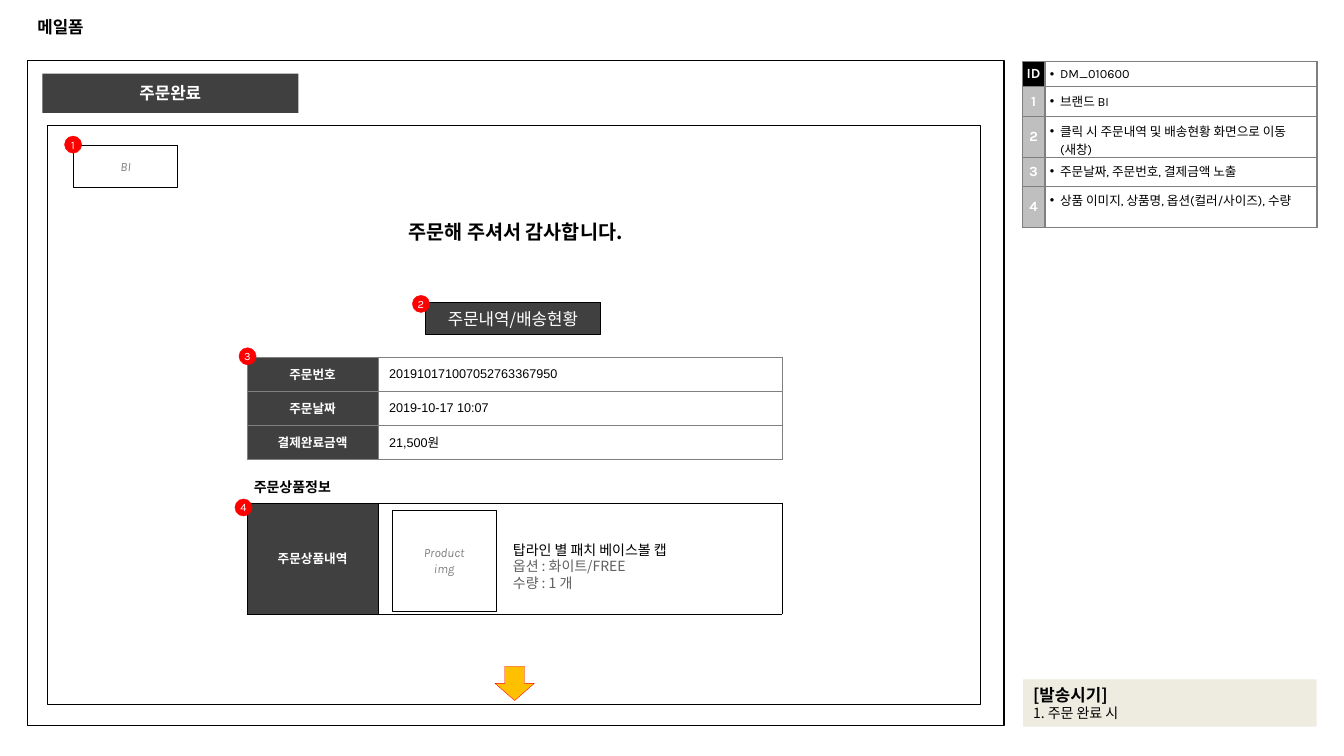
"""Build the order-complete mail form wireframe slide."""
from dataclasses import dataclass, replace

from lxml import etree
from pptx import Presentation
from pptx.dml.color import RGBColor
from pptx.enum.shapes import MSO_SHAPE
from pptx.enum.text import MSO_ANCHOR, PP_ALIGN
from pptx.oxml.ns import qn
from pptx.util import Inches, Pt

RECT, OVAL, DOWN = MSO_SHAPE.RECTANGLE, MSO_SHAPE.OVAL, MSO_SHAPE.DOWN_ARROW
LEFT, CENTER = PP_ALIGN.LEFT, PP_ALIGN.CENTER
TOP, MIDDLE = MSO_ANCHOR.TOP, MSO_ANCHOR.MIDDLE
NOTO = "Noto Sans CJK KR"
COLORS = {
    "black": "000000", "white": "FFFFFF", "dark": "404040", "gray": "808080",
    "text": "606060", "silver": "BFBFBF", "rule": "7F7F7F", "red": "FF0000",
    "amber": "FFC000", "beige": "EEECE1",
}
WIDTH, HEIGHT = Inches(13.33), Inches(7.5)


@dataclass(frozen=True)
class Style:
    size: float
    font: str
    color: str = "black"
    bold: bool = False
    italic: bool = False


@dataclass(frozen=True)
class Line:
    text: str
    style: Style


@dataclass(frozen=True)
class Box:
    """Hold a frame in percent of the slide."""
    x: float
    y: float
    w: float
    h: float

    def emu(self) -> tuple[int, int, int, int]:
        return across(self.x), down(self.y), across(self.w), down(self.h)


@dataclass(frozen=True)
class Item:
    box: Box
    lines: tuple[Line, ...] = ()
    kind: MSO_SHAPE = RECT
    fill: str = ""
    line: str = ""
    width: float = 0.25
    align: PP_ALIGN = CENTER
    anchor: MSO_ANCHOR = MIDDLE
    margin: float = -1


@dataclass(frozen=True)
class Cell:
    lines: tuple[Line, ...] = ()
    fill: str = "white"
    align: PP_ALIGN = LEFT
    anchor: MSO_ANCHOR = MIDDLE
    margins: tuple[float, float] = (0.11, 0.05)
    bullet: bool = False


@dataclass(frozen=True)
class Grid:
    x: float
    y: float
    cols: tuple[float, ...]
    rows: tuple[float, ...]
    cells: tuple[tuple[Cell, ...], ...]
    border: str
    width: float


def across(pct: float) -> int:
    return round(WIDTH * pct / 100)


def down(pct: float) -> int:
    return round(HEIGHT * pct / 100)


def rgb(name: str) -> RGBColor:
    return RGBColor.from_string(COLORS[name])


def add_bullet(p) -> None:
    pr = p._p.get_or_add_pPr()
    pr.set("marL", str(Inches(0.1)))
    pr.set("indent", str(-Inches(0.1)))
    etree.SubElement(pr, qn("a:buFont"), typeface="Arial")
    etree.SubElement(pr, qn("a:buChar"), char="•")


def write(tf, lines: tuple[Line, ...], align: PP_ALIGN, bullet: bool = False) -> None:
    tf.text = "\n".join(line.text for line in lines)
    for p, line in zip(tf.paragraphs, lines):
        style = line.style
        if bullet:
            add_bullet(p)
        p.alignment = align
        if style.font == NOTO:
            p.line_spacing = Pt(style.size * 1.2)
        for r in p.runs:
            font = r.font
            font.size, font.bold, font.italic = Pt(style.size), style.bold, style.italic
            font.color.rgb = rgb(style.color)
            font.name = style.font
            latin = r._r.rPr.find(qn("a:latin"))
            latin.addnext(latin.makeelement(qn("a:ea"), {"typeface": NOTO}))


def set_margins(target, x: float, y: float) -> None:
    target.margin_left = target.margin_right = Inches(x)
    target.margin_top = target.margin_bottom = Inches(y)


def add_item(slide, item: Item) -> None:
    if item.fill or item.line:
        sp = slide.shapes.add_shape(item.kind, *item.box.emu())
        sp.shadow.inherit = False
        if item.fill:
            sp.fill.solid()
            sp.fill.fore_color.rgb = rgb(item.fill)
        else:
            sp.fill.background()
        if item.line:
            sp.line.color.rgb = rgb(item.line)
            sp.line.width = Pt(item.width)
        else:
            sp.line.fill.background()
    else:
        sp = slide.shapes.add_textbox(*item.box.emu())
    if item.lines:
        tf = sp.text_frame
        tf.word_wrap = True
        tf.vertical_anchor = item.anchor
        if item.margin >= 0:
            set_margins(tf, item.margin, item.margin)
        write(tf, item.lines, item.align)


def set_borders(cell, color: str, width: float) -> None:
    pr = cell._tc.get_or_add_tcPr()
    for i, side in enumerate(("lnL", "lnR", "lnT", "lnB")):
        ln = pr.makeelement(qn(f"a:{side}"), {"w": str(Pt(width))})
        fill = etree.SubElement(ln, qn("a:solidFill"))
        etree.SubElement(fill, qn("a:srgbClr"), val=COLORS[color])
        pr.insert(i, ln)


def add_grid(slide, grid: Grid) -> None:
    box = Box(grid.x, grid.y, sum(grid.cols), sum(grid.rows))
    table = slide.shapes.add_table(len(grid.rows), len(grid.cols), *box.emu()).table
    table.first_row = table.horz_banding = False
    for col, w in zip(table.columns, grid.cols):
        col.width = across(w)
    for i, h in enumerate(grid.rows):
        table.rows[i].height = down(h)
        for j, data in enumerate(grid.cells[i]):
            cell = table.cell(i, j)
            cell.fill.solid()
            cell.fill.fore_color.rgb = rgb(data.fill)
            set_borders(cell, grid.border, grid.width)
            set_margins(cell, *data.margins)
            cell.vertical_anchor = data.anchor
            write(cell.text_frame, data.lines, data.align, data.bullet)


HEAD = Style(12, "Arial", "white", True)
LABEL = Style(9, "Arial", "white", True)
VALUE = Style(9, "Arial")
HINT = Style(9, "Karla", "gray", italic=True)
BADGE = Style(8, "Karla", "white")
KEY = Style(10, "Karla", "white", True)
NOTE = Style(9, "Karla")
BODY = Style(10, NOTO)
STRONG = replace(BODY, bold=True)
MUTED = replace(BODY, color="text")

FRAMES = (
    Item(Box(2.03, 8, 72.68, 88), line="black", width=0.75),
    Item(Box(3.53, 16.53, 69.38, 76.67), line="black"),
    Item(Box(3.15, 9.73, 19.05, 5.2), (Line("주문완료", HEAD),), fill="dark"),
    Item(Box(5.48, 19.2, 7.73, 5.6), (Line("BI", HINT),), line="black", margin=0.04),
    Item(Box(13.35, 28.4, 50.03, 9.87),
         (Line("주문해 주셔서 감사합니다.", Style(14, NOTO, bold=True)),), anchor=TOP),
    Item(Box(31.65, 40, 13.05, 4.27),
         (Line("주문내역/배송현황", Style(12, NOTO, "white")),), fill="dark", line="black"),
    Item(Box(36.83, 88.13, 2.93, 4.53), kind=DOWN, fill="amber", line="red"),
    Item(Box(18.15, 62.67, 12.9, 3.6), (Line("주문상품정보", STRONG),),
         align=LEFT, anchor=TOP),
    Item(Box(76.13, 89.87, 21.83, 6.27),
         (Line("[발송시기]", replace(STRONG, size=12)), Line("1. 주문 완료 시", BODY)),
         fill="beige", align=LEFT, anchor=TOP),
)
PRODUCT = (
    Item(Box(29.18, 67.47, 7.73, 13.33), (Line("Product", HINT), Line("img", HINT)),
         line="black", margin=0.04),
    Item(Box(37.43, 70.93, 17.78, 8.13),
         (Line("탑라인 별 패치 베이스볼 캡", BODY), Line("옵션 : 화이트/FREE", MUTED),
          Line("수량 : 1 개", MUTED)), align=LEFT, anchor=TOP),
)
BADGES = ((4.8, 18), (30.68, 39.07), (17.78, 46), (17.48, 66))
ORDER = (("주문번호", "201910171007052763367950"), ("주문날짜", "2019-10-17 10:07"),
         ("결제완료금액", "21,500원"))
SPEC = (("ID", "DM_010600"), ("1", "브랜드 BI"),
        ("2", "클릭 시 주문내역 및 배송현황 화면으로 이동(새창)"),
        ("3", "주문날짜, 주문번호, 결제금액 노출"),
        ("4", "상품 이미지, 상품명, 옵션(컬러/사이즈), 수량"))


def label_cell(text: str) -> Cell:
    return Cell((Line(text, LABEL),), "dark", CENTER)


def spec_row(key: str, note: str) -> tuple[Cell, Cell]:
    fill = "black" if key == "ID" else "silver"
    return (Cell((Line(key, KEY),), fill, CENTER, margins=(0, 0)),
            Cell((Line(note, NOTE),), anchor=TOP, margins=(0.05, 0.05), bullet=True))


GRIDS = (
    Grid(18.38, 47.2, (9.75, 30.08), (4.53,) * 3,
         tuple((label_cell(k), Cell((Line(v, VALUE),))) for k, v in ORDER), "gray", 0.25),
    Grid(18.38, 66.53, (9.75, 30.08), (14.67,),
         ((label_cell("주문상품내역"), Cell()),), "black", 0.25),
    Grid(76.05, 8.13, (1.7, 20.25), (3.33, 3.97, 5.29, 3.84, 5.42),
         tuple(spec_row(*row) for row in SPEC), "rule", 1),
)


def main() -> None:
    prs = Presentation()
    prs.slide_width, prs.slide_height = WIDTH, HEIGHT
    slide = prs.slides.add_slide(prs.slide_layouts[5])
    title = slide.shapes.title
    title.left, title.top, title.width, title.height = Box(2.03, 0.93, 95.93, 5.2).emu()
    title.text_frame.vertical_anchor = MIDDLE
    write(title.text_frame, (Line("메일폼", replace(HEAD, color="black")),), LEFT)
    for item in FRAMES:
        add_item(slide, item)
    for grid in GRIDS:
        add_grid(slide, grid)
    for item in PRODUCT:
        add_item(slide, item)
    for number, (x, y) in enumerate(BADGES, 1):
        add_item(slide, Item(Box(x, y, 1.28, 2.27), (Line(str(number), BADGE),),
                             OVAL, "red", "red", margin=0))
    prs.save("out.pptx")


if __name__ == "__main__":
    main()
